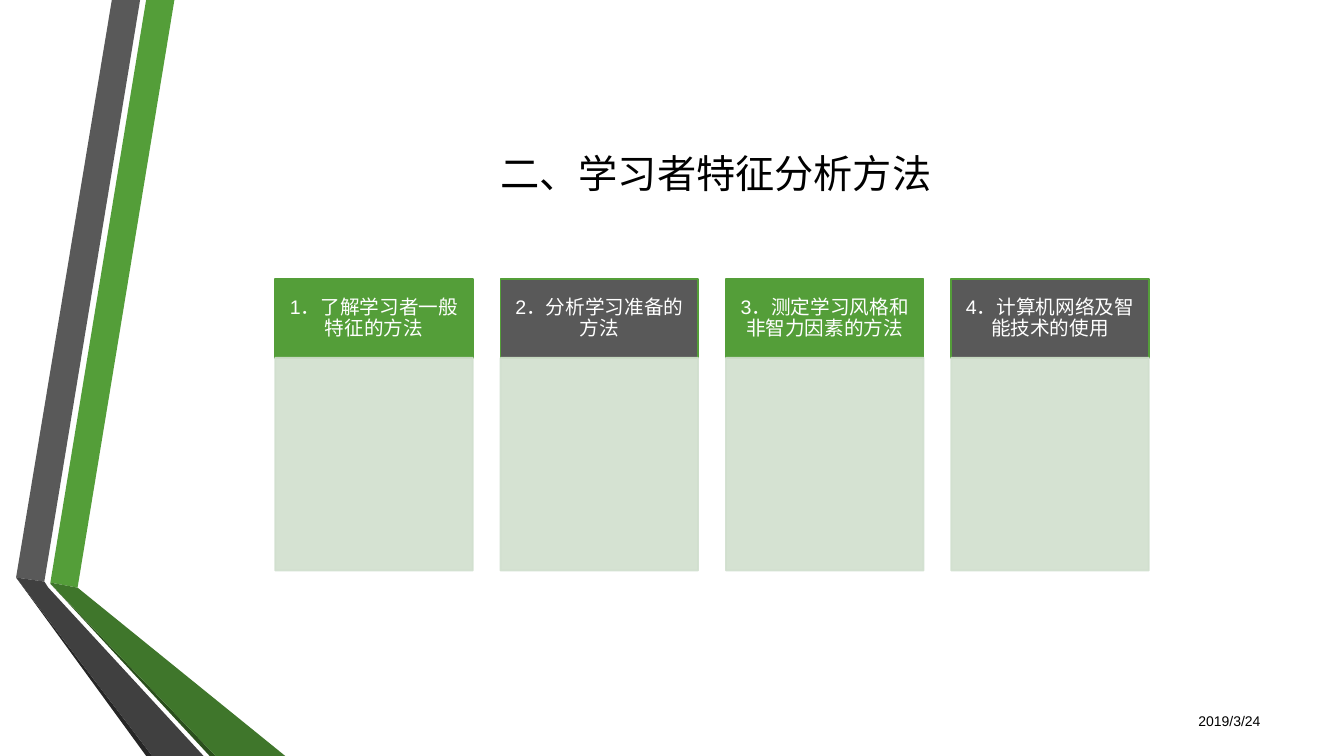
from dataclasses import dataclass

from lxml import etree
from pptx import Presentation
from pptx import util as u
from pptx.dml.color import RGBColor
from pptx.enum import shapes, text
from pptx.oxml import ns

COLORS = {
    "green": "549E39",
    "gray": "595959",
    "black_edge": "262626",
    "green_edge": "2A4F1C",
    "dark_green": "3F762B",
    "dark_gray": "404040",
    "pale": "D1DFCE",
    "black": "000000",
    "white": "FFFFFF",
}
CJK_FONT = "Noto Sans CJK SC"
COLUMN_LEFT, COLUMN_STEP, COLUMN_WIDTH = 2.73, 2.235, 1.96
HEADER_TOP, HEADER_HEIGHT, BODY_HEIGHT = 2.77, 0.78, 2.11


@dataclass
class Ribbon:
    color: str
    points: list[tuple[float, float]]


@dataclass
class Column:
    label: str
    color: str


RIBBONS = [
    Ribbon("green", [(0.5, 5.78), (0.77, 5.83), (1.73, 0), (1.45, 0)]),
    Ribbon("gray", [(1.39, 0), (1.11, 0), (0.16, 5.73), (0.44, 5.77)]),
    Ribbon("black_edge", [(0.16, 5.73), (1.45, 7.5), (1.51, 7.5)]),
    Ribbon("green_edge", [(0.5, 5.79), (2.08, 7.5), (2.14, 7.5)]),
    Ribbon("dark_green", [(0.5, 5.79), (2.14, 7.5), (2.83, 7.5), (0.77, 5.83), (0.5, 5.78)]),
    Ribbon("dark_gray", [(2.02, 7.5), (0.48, 5.83), (0.44, 5.77), (0.16, 5.73), (1.51, 7.5)]),
]
COLUMNS = [
    Column("1．了解学习者一般特征的方法", "green"),
    Column("2．分析学习准备的方法", "gray"),
    Column("3．测定学习风格和非智力因素的方法", "green"),
    Column("4．计算机网络及智能技术的使用", "gray"),
]


def rgb(name: str) -> RGBColor:
    return RGBColor.from_string(COLORS[name])


def place(shape, left: float, top: float, width: float, height: float) -> None:
    shape.left, shape.top = u.Inches(left), u.Inches(top)
    shape.width, shape.height = u.Inches(width), u.Inches(height)


def write(shape, words: str, *, size: float, color: str, font: str = "Arial",
          align=text.PP_ALIGN.CENTER, spacing: float | None = None,
          after: float = 0, margins: tuple[float, float] = (0.1, 0.05)) -> None:
    frame = shape.text_frame
    frame.word_wrap = True
    frame.auto_size = text.MSO_AUTO_SIZE.NONE
    frame.vertical_anchor = text.MSO_ANCHOR.MIDDLE
    frame.margin_left = frame.margin_right = u.Inches(margins[0])
    frame.margin_top = frame.margin_bottom = u.Inches(margins[1])
    para = frame.paragraphs[0]
    para.alignment = align
    para.line_spacing = spacing
    para.space_after = u.Pt(after)
    span = para.add_run()
    span.text = words
    span.font.size = u.Pt(size)
    span.font.name = font
    span.font.color.rgb = rgb(color)
    east_asian = etree.SubElement(span.font._element, ns.qn("a:ea"))
    east_asian.set("typeface", CJK_FONT)


def set_opacity(fill_parent, percent: int) -> None:
    for color in fill_parent.iter(ns.qn("a:srgbClr")):
        alpha = etree.SubElement(color, ns.qn("a:alpha"))
        alpha.set("val", str(percent * 1000))


def draw_ribbon(page, ribbon: Ribbon) -> None:
    start, *others = [(u.Inches(x), u.Inches(y)) for x, y in ribbon.points]
    builder = page.shapes.build_freeform(*start)
    builder.add_line_segments(others, close=True)
    shape = builder.convert_to_shape()
    shape.shadow.inherit = False
    shape.fill.solid()
    shape.fill.fore_color.rgb = rgb(ribbon.color)
    shape.line.fill.background()


def draw_box(page, left: float, top: float, height: float, fill: str, line: str):
    box = page.shapes.add_shape(
        shapes.MSO_SHAPE.RECTANGLE, u.Inches(left), u.Inches(top),
        u.Inches(COLUMN_WIDTH), u.Inches(height))
    box.shadow.inherit = False
    box.fill.solid()
    box.fill.fore_color.rgb = rgb(fill)
    box.line.color.rgb = rgb(line)
    box.line.width = u.Pt(1.25)
    return box


def draw_column(page, column: Column, left: float) -> None:
    header = draw_box(page, left, HEADER_TOP, HEADER_HEIGHT, column.color, "green")
    write(header, column.label, size=14, color="white", spacing=0.9, after=4.9,
          margins=(0.11, 0.06))
    body = draw_box(page, left, HEADER_TOP + HEADER_HEIGHT, BODY_HEIGHT, "pale", "pale")
    set_opacity(body._element.spPr, 90)


def main() -> None:
    deck = Presentation()
    deck.slide_width, deck.slide_height = u.Inches(13.33), u.Inches(7.5)
    page = deck.slides.add_slide(deck.slide_layouts[5])
    for ribbon in RIBBONS:
        draw_ribbon(page, ribbon)

    title = page.shapes.title
    place(title, 1.62, 0.75, 10.96, 1.92)
    write(title, "二、学习者特征分析方法", size=28, color="black", font=CJK_FONT)

    date = page.shapes.add_textbox(0, 0, 0, 0)
    place(date, 11.35, 6.95, 1.25, 0.4)
    write(date, "2019/3/24", size=10, color="black", align=text.PP_ALIGN.RIGHT)

    for index, column in enumerate(COLUMNS):
        draw_column(page, column, COLUMN_LEFT + index * COLUMN_STEP)
    deck.save("out.pptx")


if __name__ == "__main__":
    main()
